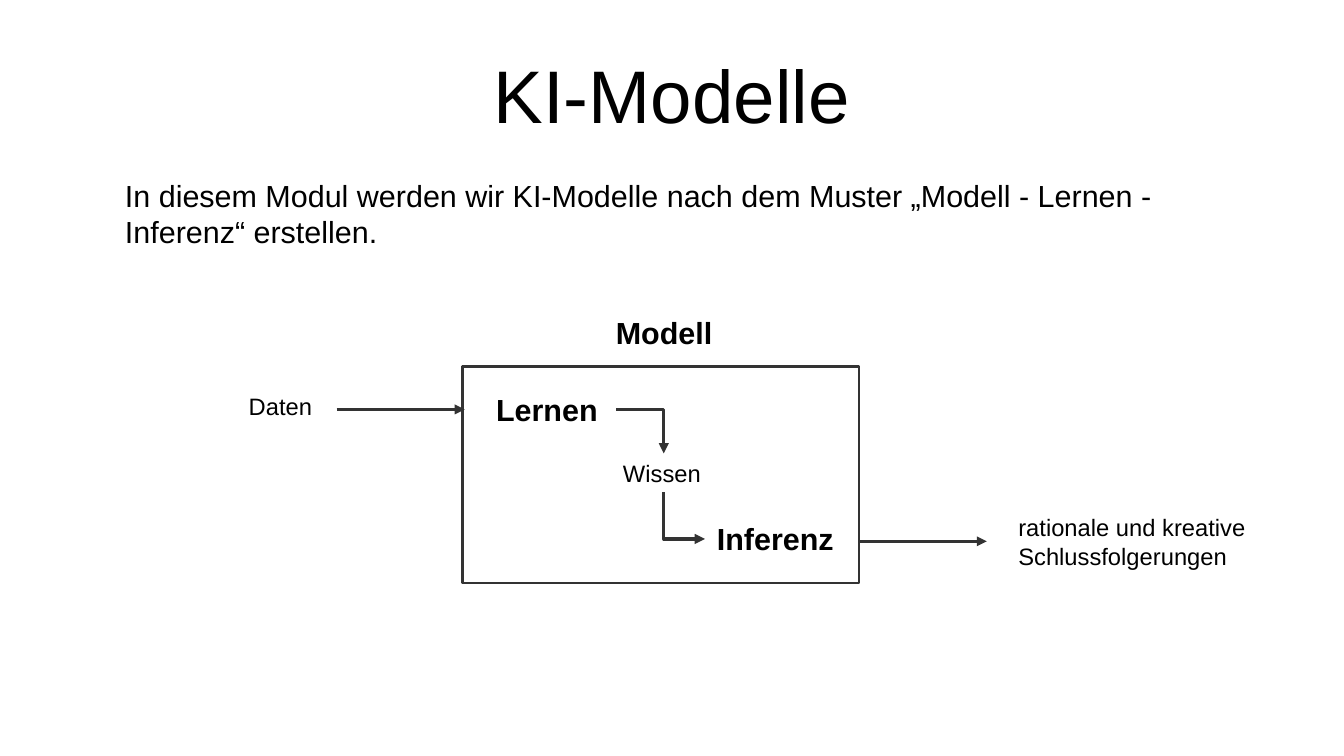
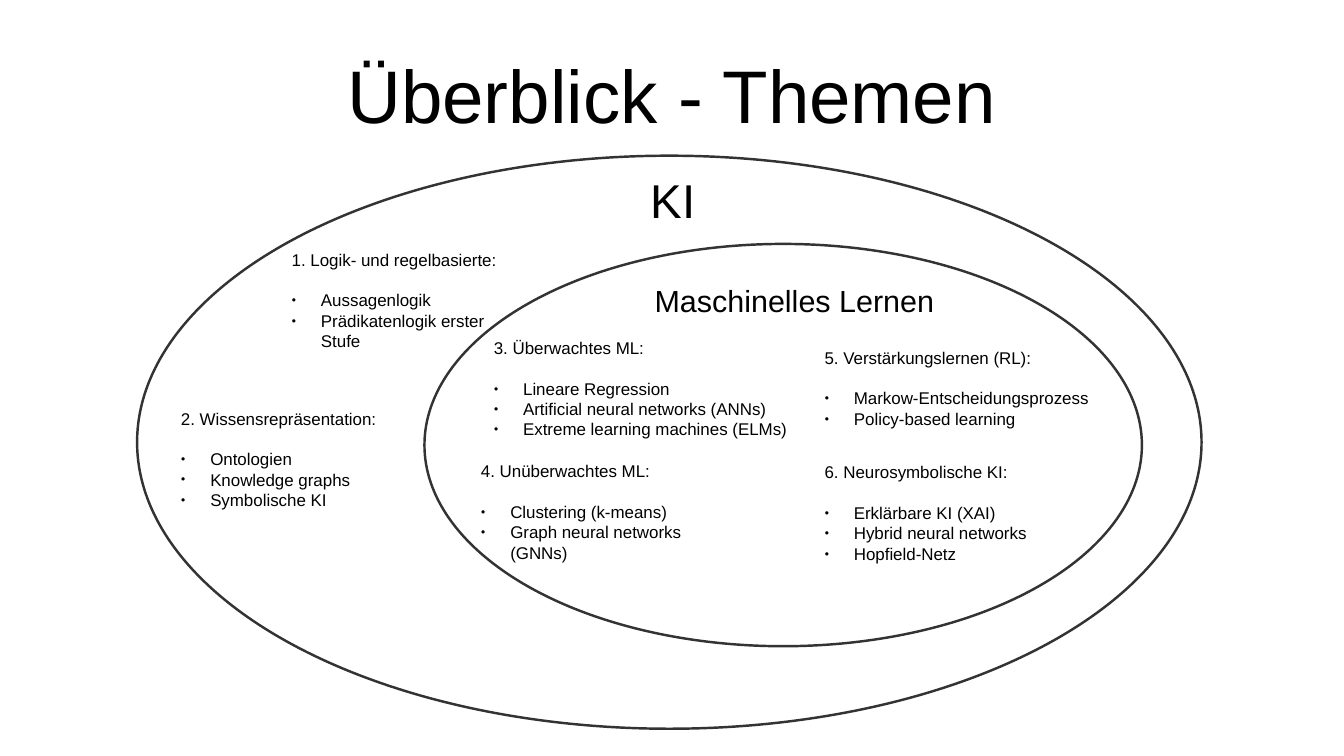
import dataclasses

import lxml.etree
import pptx
import pptx.dml.color
import pptx.enum.shapes
import pptx.enum.text
import pptx.oxml.ns
import pptx.util

INK = "000000"
OUTLINE = "333333"
PAPER = "FFFFFF"
FONT = "Arial"
OUTLINE_WIDTH = 1.45
HAIRLINE = 0
BULLET_INDENT = 0.24
LABEL_INSETS = (0.1, 0.05)
SHAPES = pptx.enum.shapes.MSO_SHAPE
CONNECTORS = pptx.enum.shapes.MSO_CONNECTOR
ALIGN = pptx.enum.text.PP_ALIGN
ANCHOR = pptx.enum.text.MSO_ANCHOR


@dataclasses.dataclass
class Box:
    """Area in inches; its inner areas and points are in percent of it."""
    left: float
    top: float
    width: float
    height: float

    def point(self, across, down):
        return (self.left + self.width * across / 100,
                self.top + self.height * down / 100)

    def area(self, across, down, width, height):
        return Box(*self.point(across, down),
                   self.width * width / 100, self.height * height / 100)

    def emu(self):
        return [pptx.util.Inches(length) for length in
                (self.left, self.top, self.width, self.height)]


SLIDE = Box(0, 0, 11.02, 6.2)
TITLE = SLIDE.area(5, 4, 90, 16.8)


def color(hex_code):
    return pptx.dml.color.RGBColor.from_string(hex_code)


def add_child(parent, tag, **attributes):
    child = lxml.etree.SubElement(parent, pptx.oxml.ns.qn(tag))
    for name, value in attributes.items():
        child.set(name, value)
    return child


def add_bullet(para):
    properties = para._p.get_or_add_pPr()
    indent = pptx.util.Inches(BULLET_INDENT)
    properties.set("marL", str(indent))
    properties.set("indent", str(-indent))
    bullet_color = add_child(properties, "a:buClr")
    add_child(bullet_color, "a:srgbClr", val=INK)
    add_child(properties, "a:buSzPct", val="45000")
    add_child(properties, "a:buFont", typeface=FONT)
    add_child(properties, "a:buChar", char="●")


def add_text(page, box, text, size=14, bold=False, align=ALIGN.LEFT,
             anchor=ANCHOR.TOP, insets=LABEL_INSETS, bullets=()):
    """Write a line of text, followed by a bulleted list if one is given."""
    frame = page.shapes.add_textbox(*box.emu()).text_frame
    frame.word_wrap = True
    frame.vertical_anchor = anchor
    frame.margin_left = frame.margin_right = pptx.util.Inches(insets[0])
    frame.margin_top = frame.margin_bottom = pptx.util.Inches(insets[1])
    for index, line in enumerate([text, *bullets]):
        para = frame.add_paragraph() if index else frame.paragraphs[0]
        para.alignment = align
        if index:
            add_bullet(para)
        elif bullets:
            para.space_after = pptx.util.Pt(size * 1.2)
        span = para.add_run()
        span.text = line
        span.font.name = FONT
        span.font.size = pptx.util.Pt(size)
        span.font.bold = bold
        span.font.color.rgb = color(INK)


def add_outline(page, kind, box):
    shape = page.shapes.add_shape(kind, *box.emu())
    shape.shadow.inherit = False
    shape.fill.solid()
    shape.fill.fore_color.rgb = color(PAPER)
    shape.line.color.rgb = color(OUTLINE)
    shape.line.width = pptx.util.Pt(OUTLINE_WIDTH)


def add_arrow(page, start, end, kind=CONNECTORS.STRAIGHT, width=OUTLINE_WIDTH):
    ends = [pptx.util.Inches(length) for length in (*start, *end)]
    arrow = page.shapes.add_connector(kind, *ends)
    arrow.line.color.rgb = color(OUTLINE)
    arrow.line.width = pptx.util.Pt(width)
    add_child(arrow.line._get_or_add_ln(), "a:tailEnd", type="triangle")
    add_child(arrow.element.spPr, "a:effectLst")
    return arrow


def add_elbow(page, start, end, down_first=False):
    """Draw an arrow with one corner: right then down, or down then right."""
    if down_first:
        # A quarter turn swaps the sides around the common centre.
        middle_x, middle_y = (start[0] + end[0]) / 2, (start[1] + end[1]) / 2
        half_x, half_y = (end[0] - start[0]) / 2, (end[1] - start[1]) / 2
        start = (middle_x + half_y, middle_y - half_x)
        end = (middle_x - half_y, middle_y + half_x)
    arrow = add_arrow(page, start, end, CONNECTORS.ELBOW, HAIRLINE)
    properties = arrow.element.spPr
    properties.find(pptx.oxml.ns.qn("a:prstGeom")).set("prst", "bentConnector2")
    if down_first:
        properties.find(pptx.oxml.ns.qn("a:xfrm")).set("rot", str(270 * 60000))


def add_page(deck, title):
    page = deck.slides.add_slide(deck.slide_layouts[6])
    page.background.fill.solid()
    page.background.fill.fore_color.rgb = color(PAPER)
    add_text(page, TITLE, title, size=44, align=ALIGN.CENTER,
             anchor=ANCHOR.MIDDLE, insets=(0, 0))
    return page


def draw_model(page, frame):
    add_outline(page, SHAPES.RECTANGLE, frame)
    steps = [("Modell", 35.7, -27, 32),
             ("Lernen", 5.5, 8.5, 33.5),
             ("Inferenz", 61.2, 68.4, 37.2)]
    for text, across, down, width in steps:
        add_text(page, frame.area(across, down, width, 23), text,
                 size=18, bold=True)
    labels = [("Daten", -56.9, 9, 33.5),
              ("Wissen", 37.5, 40, 26.5),
              ("rationale und kreative Schlussfolgerungen", 137.2, 65, 65.5)]
    for text, across, down, width in labels:
        add_text(page, frame.area(across, down, width, 23), text)

    learning_row, inference_row, knowledge_column = 19.8, 80.8, 50.8
    add_arrow(page, frame.point(-31.7, learning_row),
              frame.point(0.6, learning_row))
    add_arrow(page, frame.point(100, inference_row),
              frame.point(132.3, inference_row))
    add_elbow(page, frame.point(38.8, learning_row),
              frame.point(knowledge_column, 40.1))
    add_elbow(page, frame.point(knowledge_column, 58.2),
              frame.point(61.2, 79.7), down_first=True)


def draw_field(page, field, heading, heading_place, size, topics):
    """Write a heading and its topics into the area of an ellipse."""
    add_text(page, field.area(*heading_place), heading, size=size)
    for (across, down, width), topic, examples in topics:
        add_text(page, field.area(across, down, width, 30), topic,
                 size=10, bullets=examples)


def build_model_page(deck):
    page = add_page(deck, "KI-Modelle")
    add_text(page, SLIDE.area(9.3, 23.4, 85, 12.7),
             "In diesem Modul werden wir KI-Modelle nach dem Muster "
             "„Modell - Lernen - Inferenz“ erstellen.",
             size=18, insets=(0, 0))
    draw_model(page, SLIDE.area(34.4, 48.5, 29.5, 28.6))


def build_topics_page(deck):
    page = add_page(deck, "Überblick - Themen")
    ai_field = SLIDE.area(10.2, 20.6, 79.2, 75.8)
    learning_field = ai_field.area(27, 15.4, 67.4, 70.2)
    for field in (ai_field, learning_field):
        add_outline(page, SHAPES.OVAL, field)
    draw_field(page, ai_field, "KI", (47.1, 1.7, 6.8, 11.3), 28, [
        ((13.4, 15.3, 23.5), "1. Logik- und regelbasierte:",
         ["Aussagenlogik", "Prädikatenlogik erster Stufe"]),
        ((3, 43, 24), "2. Wissensrepräsentation:",
         ["Ontologien", "Knowledge graphs", "Symbolische KI"]),
    ])
    draw_field(page, learning_field, "Maschinelles Lernen",
               (30.4, 7.9, 45.1, 13.3), 18, [
        ((8, 21.8, 44.8), "3. Überwachtes ML:",
         ["Lineare Regression", "Artificial neural networks (ANNs)",
          "Extreme learning machines (ELMs)"]),
        ((6.2, 52.4, 39.8), "4. Unüberwachtes ML:",
         ["Clustering (k-means)", "Graph neural networks (GNNs)"]),
        ((54.1, 24.2, 40.2), "5. Verstärkungslernen (RL):",
         ["Markow-Entscheidungsprozess", "Policy-based learning"]),
        ((54.1, 52.7, 35.5), "6. Neurosymbolische KI:",
         ["Erklärbare KI (XAI)", "Hybrid neural networks",
          "Hopfield-Netz"]),
    ])


def main():
    deck = pptx.Presentation()
    deck.slide_width = pptx.util.Inches(SLIDE.width)
    deck.slide_height = pptx.util.Inches(SLIDE.height)
    build_model_page(deck)
    build_topics_page(deck)
    deck.save("out.pptx")


if __name__ == "__main__":
    main()
